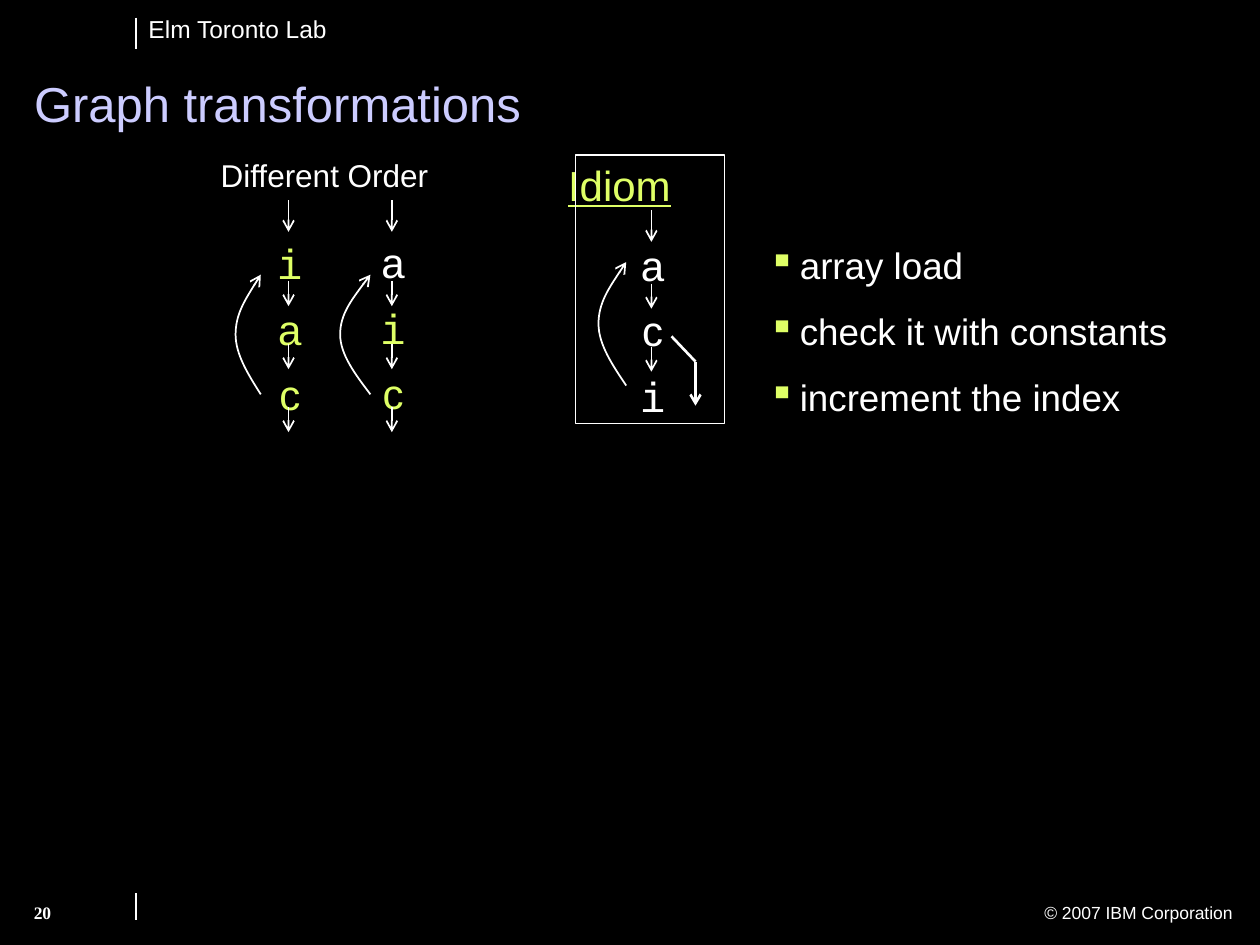
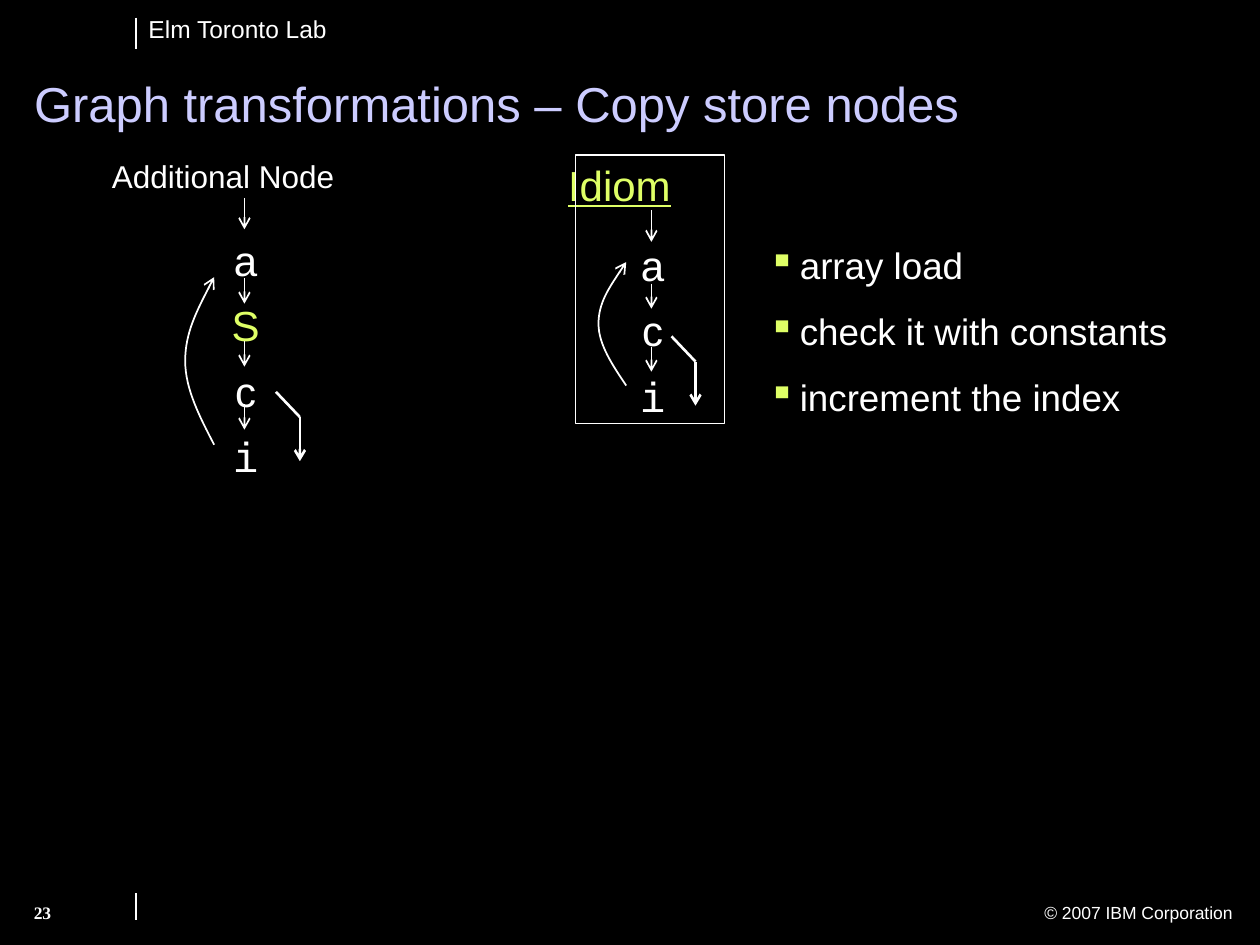
from lxml.etree import SubElement
from pptx import Presentation
from pptx.dml.color import RGBColor
from pptx.enum.shapes import MSO_CONNECTOR, MSO_SHAPE
from pptx.enum.text import MSO_ANCHOR, MSO_AUTO_SIZE, PP_ALIGN
from pptx.oxml.ns import qn
from pptx.util import Inches, Pt

BLACK = RGBColor(0x00, 0x00, 0x00)
WHITE = RGBColor(0xFF, 0xFF, 0xFF)
LIME = RGBColor(0xDF, 0xFF, 0x66)
LAVENDER = RGBColor(0xCC, 0xCC, 0xFF)
SANS, MONO, SERIF = "Arial", "Courier New", "Times New Roman"

HEADER = "Elm Toronto Lab"
COPYRIGHT = "© 2007 IBM Corporation"
DIVIDER_X = 1.08
DIVIDERS = [(0.14, 0.39), (7.09, 7.3)]

IDIOM_STEPS = ["array load", "check it with constants", "increment the index"]
IDIOM_GRAPH = {
    "nodes": [("a", WHITE), ("c", WHITE), ("i", WHITE)],
    "axis": 5.17, "top": 1.73, "entry": 1.67, "first_step": 2.25, "steps": 2,
    "loop": (4.97, 3.06, 0.22, 0.98), "exit": (5.52, 2.87),
}
SLIDES = [
    {
        "title": "Graph transformations", "number": "20",
        "caption": ("Different Order", (1.4, 1.22, 2.35, 0.37)),
        "graphs": [
            {"nodes": [("i", LIME), ("a", LIME), ("c", LIME)],
             "axis": 2.29, "top": 1.72, "entry": 1.59, "first_step": 2.23, "steps": 3,
             "loop": (2.07, 3.13, 0.2, 0.95)},
            {"nodes": [("a", WHITE), ("i", LIME), ("c", LIME)],
             "axis": 3.11, "top": 1.71, "entry": 1.59, "first_step": 2.23, "steps": 3,
             "loop": (2.94, 3.13, 0.24, 0.95)},
        ],
    },
    {
        "title": "Graph transformations – Copy store nodes", "number": "23",
        "caption": ("Additional Node", (0.54, 1.23, 2.46, 0.37)),
        "graphs": [
            {"nodes": [("a", WHITE), ("S", LIME), ("c", WHITE), ("i", WHITE)],
             "axis": 1.94, "top": 1.69, "entry": 1.57, "first_step": 2.21, "steps": 3,
             "loop": (1.7, 3.53, 0.23, 1.33), "exit": (2.38, 3.31)},
        ],
    },
]


def format_paragraph(paragraph, size, color=WHITE, font=SANS, align=PP_ALIGN.LEFT,
                     spacing=None, hanging=False, bullet=False):
    properties = paragraph._p.get_or_add_pPr()
    if hanging:
        properties.set("marL", str(Inches(0.25)))
        properties.set("indent", str(-Inches(0.25)))
    if bullet:
        bullet_color = SubElement(properties, qn("a:buClr"))
        SubElement(bullet_color, qn("a:srgbClr")).set("val", str(LIME))
        SubElement(properties, qn("a:buChar")).set("char", "▪")
    paragraph.alignment = align
    paragraph.line_spacing = spacing
    paragraph.font.size = Pt(size)
    paragraph.font.name = font
    paragraph.font.color.rgb = color


def add_text(slide, box, lines, size, **formatting):
    frame = slide.shapes.add_textbox(*map(Inches, box)).text_frame
    frame.word_wrap = True
    frame.text = "\n".join(lines)
    for paragraph in frame.paragraphs:
        format_paragraph(paragraph, size, **formatting)
    return frame


def style_line(line, width, arrow):
    line.color.rgb = WHITE
    line.width = Pt(width)
    if arrow:
        SubElement(line._get_or_add_ln(), qn("a:tailEnd")).set("type", "arrow")


def add_line(slide, start, end, width=1, arrow=False):
    connector = slide.shapes.add_connector(
        MSO_CONNECTOR.STRAIGHT, *map(Inches, (*start, *end)))
    style_line(connector.line, width, arrow)
    SubElement(connector._element.spPr, qn("a:effectLst"))


def add_loop(slide, right, bottom, width, height):
    offsets = [(0.5, 1 / 6), (1, 1 / 3), (1, 1 / 2), (1, 2 / 3), (0.5, 5 / 6), (0, 1)]
    points = [(Inches(right - width * across), Inches(bottom - height * up))
              for across, up in offsets]
    builder = slide.shapes.build_freeform(Inches(right), Inches(bottom))
    builder.add_line_segments(points, close=False)
    loop = builder.convert_to_shape()
    outline = next(loop._element.iter(qn("a:path")))
    segments = outline.findall(qn("a:lnTo"))
    for first in range(0, len(segments), 3):
        curve = SubElement(outline, qn("a:cubicBezTo"))
        for segment in segments[first:first + 3]:
            curve.append(segment[0])
            outline.remove(segment)
    loop.fill.background()
    loop.shadow.inherit = False
    style_line(loop.line, 1, arrow=True)


def add_graph(slide, graph):
    axis, nodes = graph["axis"], graph["nodes"]
    add_loop(slide, *graph["loop"])
    box = (axis - 0.44, graph["top"], 0.9, 0.1 + 0.52 * len(nodes))
    frame = add_text(slide, box, [name for name, _ in nodes], 24,
                     align=PP_ALIGN.CENTER, spacing=1.3, hanging=True)
    for paragraph, (name, color) in zip(frame.paragraphs, nodes):
        paragraph.font.name = MONO if name == "i" else SANS
        paragraph.font.color.rgb = color
    arrows = [(graph["entry"], 0.25)]
    arrows += [(graph["first_step"] + 0.5 * step, 0.2) for step in range(graph["steps"])]
    for top, length in arrows:
        add_line(slide, (axis, top), (axis, top + length), arrow=True)
    if "exit" in graph:
        x, y = graph["exit"]
        add_line(slide, (x, y), (x, y + 0.35), 1.5, arrow=True)
        add_line(slide, (x, y), (x - 0.19, y - 0.2), 1.5)


def add_idiom(slide):
    heading = add_text(slide, (4.41, 1.26, 1.51, 0.46), ["Idiom"], 24,
                       color=LIME, spacing=0.9, hanging=True)
    heading.paragraphs[0].font.underline = True
    frame = slide.shapes.add_shape(
        MSO_SHAPE.RECTANGLE, *map(Inches, (4.57, 1.23, 1.18, 2.13)))
    frame.fill.background()
    frame.shadow.inherit = False
    style_line(frame.line, 0.75, arrow=False)
    add_graph(slide, IDIOM_GRAPH)
    add_text(slide, (6, 1.7, 3.43, 1.68), IDIOM_STEPS, 21,
             spacing=1.5, hanging=True, bullet=True)


def add_frame(slide, title_text, number):
    add_text(slide, (DIVIDER_X, 0.06, 1.65, 0.33), [HEADER], 14)
    add_text(slide, (6.26, 7.11, 3.62, 0.27), [COPYRIGHT], 10, align=PP_ALIGN.RIGHT)
    for top, bottom in DIVIDERS:
        add_line(slide, (DIVIDER_X, top), (DIVIDER_X, bottom))
    page = add_text(slide, (0.17, 7.11, 1.1, 0.35), [number], 10, font=SERIF)
    page.paragraphs[0].font.bold = True

    title = slide.shapes.title
    title.left, title.top, title.width, title.height = map(Inches, (0.17, 0.56, 9.6, 0.55))
    title.text_frame.text = title_text
    title.text_frame.auto_size = MSO_AUTO_SIZE.NONE
    title.text_frame.vertical_anchor = MSO_ANCHOR.BOTTOM
    format_paragraph(title.text_frame.paragraphs[0], 28, color=LAVENDER, spacing=0.9)


def main():
    presentation = Presentation()
    presentation.slide_width, presentation.slide_height = Inches(10), Inches(7.5)
    background = presentation.slide_master.background.fill
    background.solid()
    background.fore_color.rgb = BLACK
    for content in SLIDES:
        slide = presentation.slides.add_slide(presentation.slide_layouts[5])
        add_frame(slide, content["title"], content["number"])
        caption, box = content["caption"]
        add_text(slide, box, [caption], 18, align=PP_ALIGN.CENTER, spacing=0.9, hanging=True)
        for graph in content["graphs"]:
            add_graph(slide, graph)
        add_idiom(slide)
    presentation.save("out.pptx")


if __name__ == "__main__":
    main()
